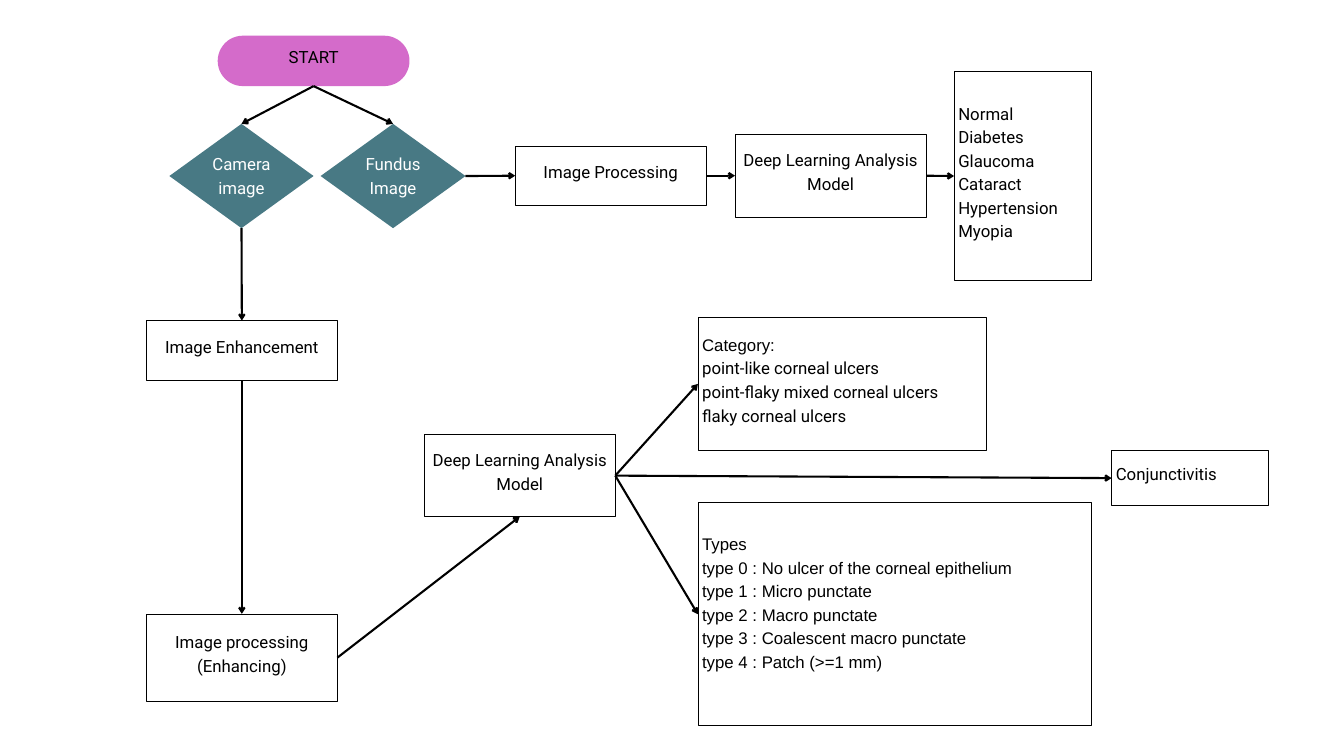
from dataclasses import dataclass

from lxml import etree
from pptx import Presentation
from pptx.dml.color import RGBColor
from pptx.enum.shapes import MSO_CONNECTOR, MSO_SHAPE
from pptx.enum.text import MSO_ANCHOR, PP_ALIGN
from pptx.oxml.ns import qn
from pptx.shapes.autoshape import Shape
from pptx.slide import Slide
from pptx.util import Emu, Pt

EMU_PER_PX = 9525
SLIDE_SIZE = (1920, 1080)
COLORS = {"ink": "000000", "paper": "FFFFFF", "start": "D46BCA", "source": "487984"}

RECTANGLE = MSO_SHAPE.RECTANGLE
ROUNDED = MSO_SHAPE.ROUNDED_RECTANGLE
DIAMOND = MSO_SHAPE.DIAMOND
STRAIGHT = MSO_CONNECTOR.STRAIGHT
LEFT, CENTER, JUSTIFY = PP_ALIGN.LEFT, PP_ALIGN.CENTER, PP_ALIGN.JUSTIFY
MIDDLE = MSO_ANCHOR.MIDDLE
TOP_SIDE, LEFT_SIDE, BOTTOM_SIDE, RIGHT_SIDE = range(4)

ROBOTO, ARIAL = "Roboto", "Arial"
TEXT_SIZE, LINE_SPACING = 18, 25.2


@dataclass(frozen=True)
class Line:
    text: str
    font: str = ROBOTO


@dataclass(frozen=True)
class Node:
    key: str
    left: int
    top: int
    width: int
    height: int
    lines: tuple[Line, ...]
    kind: MSO_SHAPE = RECTANGLE
    fill: str = "paper"
    text_color: str = "ink"
    align: PP_ALIGN = CENTER
    inset: int = 6
    lift: int = 16  # extra inset below the text


@dataclass(frozen=True)
class Arrow:
    start: str
    start_side: int
    end: str
    end_side: int


def lines(*texts: str, font: str = ROBOTO) -> tuple[Line, ...]:
    return tuple(Line(text, font) for text in texts)


MODEL = lines("Deep Learning Analysis Model")
STEP_WIDTH = 273
NODES = [
    Node("start", 311, 51, 274, 72, lines("START"), ROUNDED, "start", inset=0),
    Node("camera", 242, 177, 206, 149, lines("Camera image"), DIAMOND, "source", "paper",
         inset=0, lift=5),
    Node("fundus", 458, 177, 207, 149, lines("Fundus Image"), DIAMOND, "source", "paper",
         inset=0, lift=5),
    Node("enhancement", 209, 458, STEP_WIDTH, 85, lines("Image Enhancement")),
    Node("enhancing", 209, 877, STEP_WIDTH, 125, lines("Image processing", "(Enhancing)")),
    Node("camera model", 606, 621, STEP_WIDTH, 117, MODEL),
    Node("conjunctivitis", 1588, 644, 224, 78, lines("Conjunctivitis"), align=LEFT),
    Node("types", 997, 718, 562, 319,
         lines("Types",
               "type 0 : No ulcer of the corneal epithelium",
               "type 1 : Micro punctate",
               "type 2 : Macro punctate",
               "type 3 : Coalescent macro punctate",
               "type 4 : Patch (>=1 mm)", font=ARIAL),
         align=JUSTIFY, lift=38),
    Node("category", 997, 453, 412, 191,
         lines("Category:", font=ARIAL)
         + lines("point-like corneal ulcers",
                 "point-flaky mixed corneal ulcers",
                 "flaky corneal ulcers"),
         align=LEFT),
    Node("processing", 736, 209, STEP_WIDTH, 84, lines("Image Processing")),
    Node("fundus model", 1050, 192, STEP_WIDTH, 118, MODEL),
    Node("diseases", 1363, 102, 196, 299,
         lines("Normal", "Diabetes", "Glaucoma", "Cataract", "Hypertension", "Myopia"),
         align=LEFT),
]
ARROWS = [
    Arrow("start", BOTTOM_SIDE, "camera", TOP_SIDE),
    Arrow("start", BOTTOM_SIDE, "fundus", TOP_SIDE),
    Arrow("camera", BOTTOM_SIDE, "enhancement", TOP_SIDE),
    Arrow("enhancement", BOTTOM_SIDE, "enhancing", TOP_SIDE),
    Arrow("enhancing", RIGHT_SIDE, "camera model", BOTTOM_SIDE),
    Arrow("camera model", RIGHT_SIDE, "conjunctivitis", LEFT_SIDE),
    Arrow("camera model", RIGHT_SIDE, "types", LEFT_SIDE),
    Arrow("camera model", RIGHT_SIDE, "category", LEFT_SIDE),
    Arrow("fundus", RIGHT_SIDE, "processing", LEFT_SIDE),
    Arrow("processing", RIGHT_SIDE, "fundus model", LEFT_SIDE),
    Arrow("fundus model", RIGHT_SIDE, "diseases", LEFT_SIDE),
]


def px(length: int) -> Emu:
    return Emu(length * EMU_PER_PX)


def rgb(name: str) -> RGBColor:
    return RGBColor.from_string(COLORS[name])


def write_text(shape: Shape, node: Node) -> None:
    frame = shape.text_frame
    frame.word_wrap = True
    frame.vertical_anchor = MIDDLE
    frame.margin_left = frame.margin_right = frame.margin_top = px(node.inset)
    frame.margin_bottom = px(node.inset + node.lift)
    for index, line in enumerate(node.lines):
        paragraph = frame.add_paragraph() if index else frame.paragraphs[0]
        paragraph.alignment = node.align
        paragraph.line_spacing = Pt(LINE_SPACING)
        run = paragraph.add_run()
        run.text = line.text
        run.font.name = line.font
        run.font.size = Pt(TEXT_SIZE)
        run.font.color.rgb = rgb(node.text_color)


def draw_node(slide: Slide, node: Node) -> Shape:
    shape = slide.shapes.add_shape(
        node.kind, px(node.left), px(node.top), px(node.width), px(node.height))
    shape.shadow.inherit = False
    shape.fill.solid()
    shape.fill.fore_color.rgb = rgb(node.fill)
    if node.kind == RECTANGLE:
        shape.line.color.rgb = rgb("ink")
        shape.line.width = Pt(0.75)
    else:
        shape.line.fill.background()
    if node.kind == ROUNDED:
        shape.adjustments[0] = 0.5
    write_text(shape, node)
    return shape


def draw_arrow(slide: Slide, arrow: Arrow, shapes: dict[str, Shape]) -> None:
    connector = slide.shapes.add_connector(STRAIGHT, 0, 0, 0, 0)
    connector.begin_connect(shapes[arrow.start], arrow.start_side)
    connector.end_connect(shapes[arrow.end], arrow.end_side)
    connector.line.color.rgb = rgb("ink")
    connector.line.width = Pt(2.25)
    etree.SubElement(connector.line._get_or_add_ln(), qn("a:tailEnd"), type="arrow")
    etree.SubElement(connector._element.spPr, qn("a:effectLst"))


def main() -> None:
    presentation = Presentation()
    presentation.slide_width, presentation.slide_height = map(px, SLIDE_SIZE)
    slide = presentation.slides.add_slide(presentation.slide_layouts[6])
    shapes = {node.key: draw_node(slide, node) for node in NODES}
    for arrow in ARROWS:
        draw_arrow(slide, arrow, shapes)
    presentation.save("out.pptx")


if __name__ == "__main__":
    main()
